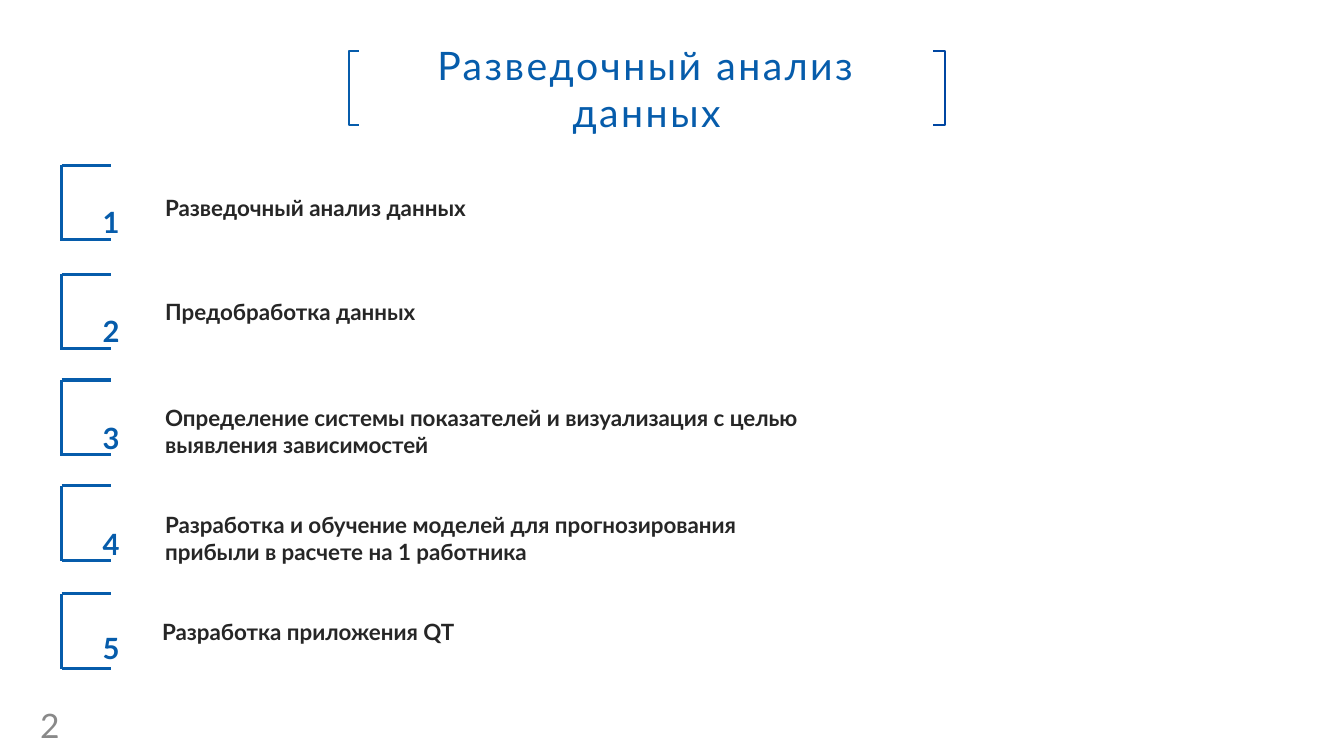
import dataclasses

import lxml.etree
import pptx
import pptx.dml.color
import pptx.enum.shapes
import pptx.enum.text
import pptx.oxml.ns
import pptx.util

Pt = pptx.util.Pt
RGBColor = pptx.dml.color.RGBColor

BLUE = RGBColor(0x06, 0x5C, 0xAB)
DEEP_BLUE = RGBColor(0x00, 0x46, 0xA2)
DARK = RGBColor(0x26, 0x26, 0x26)
GREY = RGBColor(0x89, 0x89, 0x89)
WHITE = RGBColor(0xFF, 0xFF, 0xFF)
FONT = "Lato"

MARK_LEFT, MARK_RIGHT = 44, 79.4
MARK_HEIGHT, MARK_FOOT = 54, 53.2


@dataclasses.dataclass(frozen=True)
class AgendaItem:
    """One numbered line; all lengths are in points."""
    number: str
    label: str
    mark_top: float
    number_top: float
    label_top: float
    label_left: float = 110.9
    label_height: float = 26.6


@dataclasses.dataclass(frozen=True)
class TitleBracket:
    tip: float
    edge: float
    color: RGBColor


AGENDA = [
    AgendaItem("1", "Разведочный анализ данных", 118.1, 138.2, 135.4),
    AgendaItem("2", "Предобработка данных", 195.8, 216, 209.5),
    AgendaItem("3", "Определение системы показателей и визуализация с целью "
               "выявления зависимостей", 271.4, 292.3, 285.1, label_height=46),
    AgendaItem("4", "Разработка и обучение моделей для прогнозирования "
               "прибыли в расчете на 1 работника", 347, 367.9, 361.4, label_height=46),
    AgendaItem("5", "Разработка приложения QT", 424.1, 442.1, 437.8, label_left=108.7),
]

BRACKETS = [TitleBracket(256.3, 249.1, BLUE), TitleBracket(666.7, 674.9, DEEP_BLUE)]
BRACKET_TOP, BRACKET_BOTTOM = 36.7, 89.3


def add_span(para, text: str, size: float, color: RGBColor, bold: bool = False):
    span = para.add_run()
    span.text = text
    span.font.name = FONT
    span.font.size = Pt(size)
    span.font.bold = bold
    span.font.color.rgb = color
    return span


def add_text(page, left: float, top: float, width: float, height: float,
             text: str, size: float, color: RGBColor, bold: bool = True):
    box = page.shapes.add_textbox(Pt(left), Pt(top), Pt(width), Pt(height))
    box.text_frame.word_wrap = True
    span = add_span(box.text_frame.paragraphs[0], text, size, color, bold)
    return box, span


def add_title(page, text: str) -> None:
    title = page.shapes.title
    title.left, title.top, title.width, title.height = Pt(249.1), Pt(36.7), Pt(425.5), Pt(52.6)
    title.fill.solid()
    title.fill.fore_color.rgb = WHITE
    title.line.color.rgb = WHITE
    title.line.width = Pt(2)
    frame = title.text_frame
    frame.word_wrap = True
    frame.auto_size = pptx.enum.text.MSO_AUTO_SIZE.NONE
    frame.vertical_anchor = pptx.enum.text.MSO_ANCHOR.MIDDLE
    frame.margin_left = frame.margin_right = Pt(20)
    frame.margin_top = frame.margin_bottom = 0
    para = frame.paragraphs[0]
    para.alignment = pptx.enum.text.PP_ALIGN.CENTER
    span = add_span(para, text, 28, BLUE)
    span._r.get_or_add_rPr().set("spc", "180")


def add_title_bracket(page, bracket: TitleBracket) -> None:
    builder = page.shapes.build_freeform(Pt(bracket.tip), Pt(BRACKET_TOP))
    builder.add_line_segments([
        (Pt(bracket.edge), Pt(BRACKET_TOP)),
        (Pt(bracket.edge), Pt(BRACKET_BOTTOM)),
        (Pt(bracket.tip), Pt(BRACKET_BOTTOM)),
    ], close=False)
    shape = builder.convert_to_shape()
    shape.shadow.inherit = False
    shape.fill.background()
    shape.line.color.rgb = bracket.color
    shape.line.width = Pt(1.3)


def add_mark(page, top: float) -> None:
    group = page.shapes.add_group_shape()
    foot = top + MARK_FOOT
    for x1, y1, x2, y2 in [
        (MARK_LEFT, top, MARK_LEFT, top + MARK_HEIGHT),
        (MARK_LEFT, top, MARK_RIGHT, top),
        (MARK_LEFT, foot, MARK_RIGHT, foot),
    ]:
        line = group.shapes.add_connector(
            pptx.enum.shapes.MSO_CONNECTOR.STRAIGHT, Pt(x1), Pt(y1), Pt(x2), Pt(y2))
        line.line.color.rgb = BLUE
        line.line.width = Pt(2.25)
        lxml.etree.SubElement(line._element.spPr, pptx.oxml.ns.qn("a:effectLst"))


def add_agenda_item(page, item: AgendaItem) -> None:
    add_mark(page, item.mark_top)
    label, _ = add_text(page, item.label_left, item.label_top, 489.6, item.label_height,
                        item.label, 16, DARK)
    number, span = add_text(page, 66.2, item.number_top, 85, 36, item.number, 36, BLUE)
    span._r.get_or_add_rPr().set("baseline", "30000")
    for box in (label, number):
        box.text_frame.auto_size = pptx.enum.text.MSO_AUTO_SIZE.SHAPE_TO_FIT_TEXT


def main() -> None:
    deck = pptx.Presentation()
    deck.slide_width, deck.slide_height = Pt(960), Pt(540)
    page = deck.slides.add_slide(deck.slide_layouts[5])

    # Title between brackets
    add_title(page, "Разведочный анализ данных")
    for bracket in BRACKETS:
        add_title_bracket(page, bracket)

    # Numbered agenda
    for item in AGENDA:
        add_agenda_item(page, item)

    # Page number
    box, _ = add_text(page, 21.6, 506.9, 44.6, 21.6, "2", 24, GREY, bold=False)
    box.text_frame.vertical_anchor = pptx.enum.text.MSO_ANCHOR.MIDDLE

    deck.save("out.pptx")


if __name__ == "__main__":
    main()
